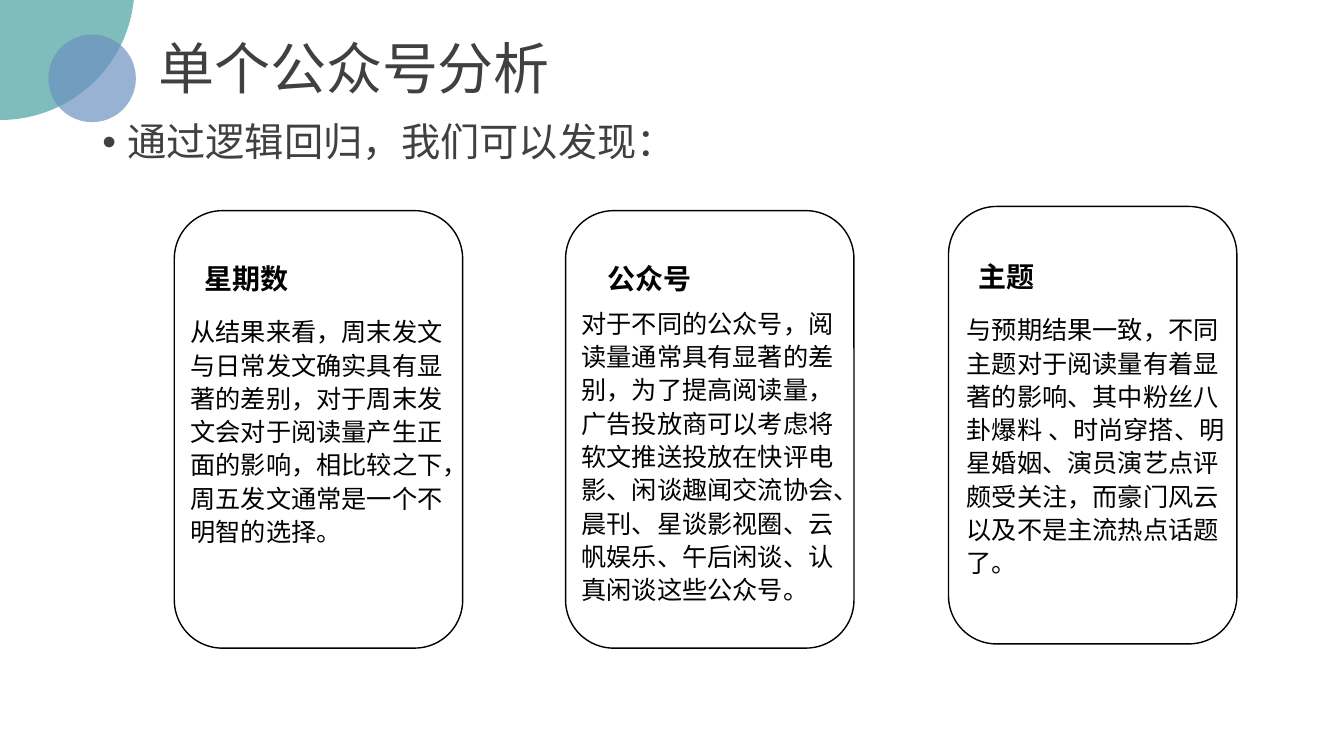
from lxml import etree
from pptx import Presentation, util as u
from pptx.dml import color
from pptx.enum import shapes, text
from pptx.oxml import ns

FONT = "Noto Sans CJK SC"
TITLE = "单个公众号分析"
LEAD = "通过逻辑回归，我们可以发现："
CARD_SIZE = (206, 312.5)
CARDS = [
    dict(corner=(124.5, 150.5), heading="星期数", heading_at=(139, 183.5, 74.4),
         body="从结果来看，周末发文与日常发文确实具有显著的差别，对于周末发文会对于阅读量产生正面的影响，"
              "相比较之下，周五发文通常是一个不明智的选择。",
         body_at=(129, 220.5, 197.5, 196.5)),
    dict(corner=(404, 150.5), heading="公众号", heading_at=(427, 183.5, 74.4),
         body="对于不同的公众号，阅读量通常具有显著的差别，为了提高阅读量，广告投放商可以考虑将软文推送投放在"
              "快评电影、闲谈趣闻交流协会、晨刊、星谈影视圈、云帆娱乐、午后闲谈、认真闲谈这些公众号。",
         body_at=(408.25, 214.5, 206, 262)),
    dict(corner=(677.5, 147.5), heading="主题", heading_at=(692, 182, 54.4),
         body="与预期结果一致，不同主题对于阅读量有着显著的影响、其中粉丝八卦爆料 、时尚穿搭、明星婚姻、"
              "演员演艺点评颇受关注，而豪门风云以及不是主流热点话题了。",
         body_at=(683.5, 219, 206, 198.5)),
]
ARC = [(94.3, 8.6), (85.7, 52.6), (46.8, 85.7), (0, 85.7)]
ARC_STEPS = 40


def rgb(value):
    return color.RGBColor.from_string(value)


def tint(shape, value, alpha):
    shape.shadow.inherit = False
    shape.fill.solid()
    shape.fill.fore_color.rgb = rgb(value)
    shape.line.fill.background()
    fill = shape.fill._xPr.find(ns.qn("a:solidFill"))
    etree.SubElement(fill[0], ns.qn("a:alpha"), val=str(alpha * 1000))


def arc_point(t):
    weights = ((1 - t) ** 3, 3 * t * (1 - t) ** 2, 3 * t ** 2 * (1 - t), t ** 3)
    return tuple(u.Pt(sum(w * p[axis] for w, p in zip(weights, ARC))) for axis in (0, 1))


def write(slide, words, place, size, ink="000000", bold=False, spacing=1.0,
          wrap=True, grow=True, anchor=text.MSO_ANCHOR.TOP, bullet=False):
    frame = slide.shapes.add_textbox(*map(u.Pt, place)).text_frame
    frame.word_wrap = wrap
    frame.auto_size = text.MSO_AUTO_SIZE.SHAPE_TO_FIT_TEXT if grow else text.MSO_AUTO_SIZE.NONE
    frame.vertical_anchor = anchor
    paragraph = frame.paragraphs[0]
    if bullet:
        props = paragraph._p.get_or_add_pPr()
        props.set("marL", str(u.Pt(18)))
        props.set("indent", str(u.Pt(-18)))
        etree.SubElement(props, ns.qn("a:buFont"), typeface="Arial")
        etree.SubElement(props, ns.qn("a:buChar"), char="•")
    paragraph.line_spacing = spacing
    run = paragraph.add_run()
    run.text = words
    run.font.name = FONT
    run.font.size = u.Pt(size)
    run.font.bold = bold
    run.font.color.rgb = rgb(ink)
    latin = run._r.rPr.find(ns.qn("a:latin"))
    latin.addnext(latin.makeelement(ns.qn("a:ea"), typeface=FONT))


def decorate(slide):
    outline = slide.shapes.build_freeform(u.Pt(0), u.Pt(-1.4))
    curve = [arc_point(step / ARC_STEPS) for step in range(ARC_STEPS + 1)]
    outline.add_line_segments([(u.Pt(95.8), u.Pt(-1.4))] + curve, close=True)
    tint(outline.convert_to_shape(), "48A2A0", 70)
    circle = slide.shapes.add_shape(shapes.MSO_SHAPE.OVAL, *map(u.Pt, (34.5, 24.7, 62.6, 62.6)))
    tint(circle, "6C92C0", 70)


def add_card(slide, card):
    panel = slide.shapes.add_shape(shapes.MSO_SHAPE.ROUNDED_RECTANGLE,
                                   *map(u.Pt, card["corner"] + CARD_SIZE))
    panel.shadow.inherit = False
    panel.fill.background()
    panel.line.color.rgb = rgb("000000")
    panel.line.width = u.Pt(1)
    write(slide, card["heading"], card["heading_at"] + (31.5,), 20, bold=True, wrap=False)
    write(slide, card["body"], card["body_at"], 18, spacing=1.1)


def main():
    deck = Presentation()
    deck.slide_width, deck.slide_height = u.Pt(960), u.Pt(540)
    slide = deck.slides.add_slide(deck.slide_layouts[6])
    decorate(slide)
    write(slide, TITLE, (106, 7, 788.5, 88.5), 40, "404040", spacing=0.9,
          grow=False, anchor=text.MSO_ANCHOR.MIDDLE)
    write(slide, LEAD, (66, 84.25, 828, 402.5), 28, "404040", spacing=0.9,
          grow=False, bullet=True)
    for card in CARDS:
        add_card(slide, card)
    deck.save("out.pptx")


if __name__ == "__main__":
    main()
